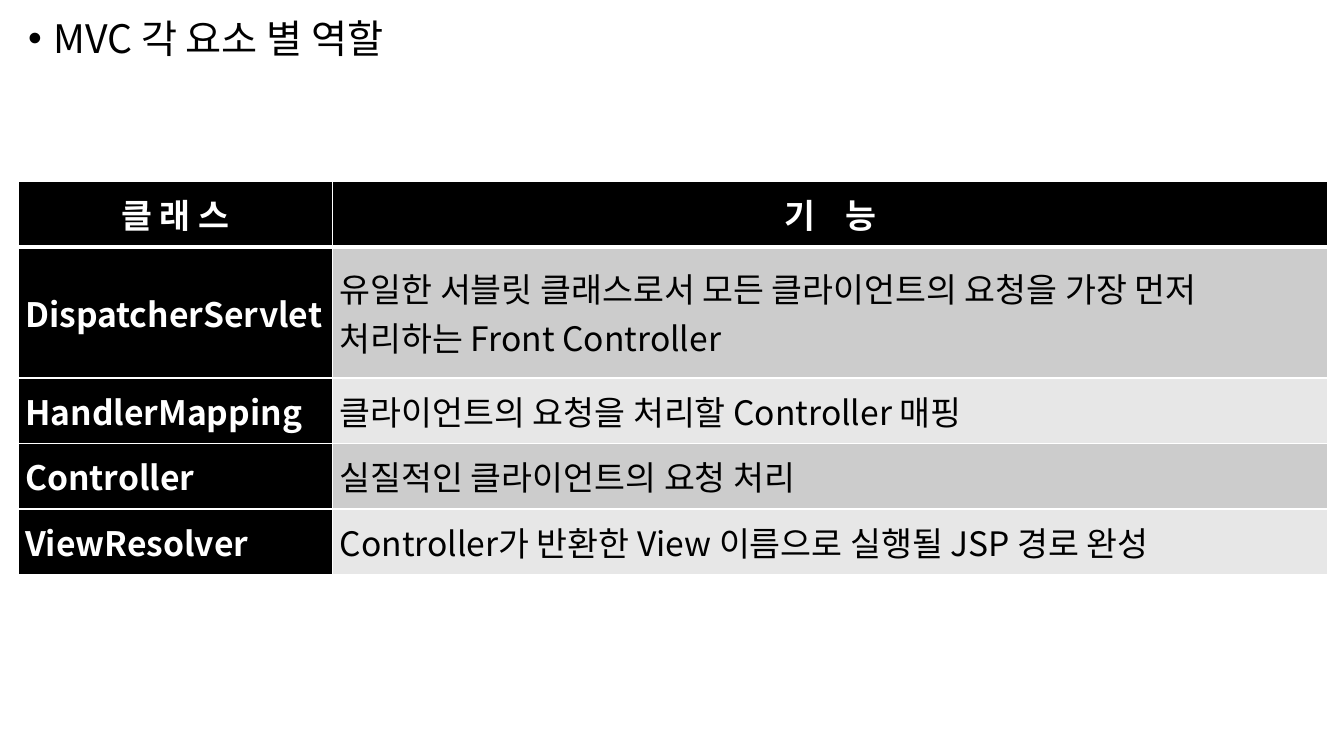
"""Build a slide that lists the role of each MVC element in a table."""
from lxml.etree import SubElement
from pptx import Presentation
from pptx.dml.color import RGBColor
from pptx.enum.text import MSO_ANCHOR, PP_ALIGN
from pptx.oxml.ns import qn
from pptx.util import Inches, Pt

BLACK = RGBColor(0x00, 0x00, 0x00)
WHITE = RGBColor(0xFF, 0xFF, 0xFF)
BAND_COLORS = [RGBColor(0xE7, 0xE7, 0xE7), RGBColor(0xCC, 0xCC, 0xCC)]
FONT = "Noto Sans CJK KR"

ROWS = [
    ("클 래 스", "기 능"),
    ("DispatcherServlet", "유일한 서블릿 클래스로서 모든 클라이언트의 요청을 가장 먼저 처리하는 Front Controller"),
    ("HandlerMapping", "클라이언트의 요청을 처리할 Controller 매핑"),
    ("Controller", "실질적인 클라이언트의 요청 처리"),
    ("ViewResolver", "Controller가 반환한 View 이름으로 실행될 JSP 경로 완성"),
]
COLUMN_WIDTHS = [3.12, 9.87]
ROW_HEIGHT = 0.65
LEFT, WIDTH = Inches(0.18), Inches(sum(COLUMN_WIDTHS))


def format_span(span, size, color, bold=False):
    span.font.size = Pt(size)
    span.font.bold = bold
    span.font.color.rgb = color
    span.font.name = FONT
    SubElement(span.font._element, qn("a:ea"), typeface=FONT)


def add_border(cell, side, points):
    line = SubElement(cell._tc.get_or_add_tcPr(), qn(f"a:ln{side}"), w=str(Pt(points)))
    fill = SubElement(line, qn("a:solidFill"))
    SubElement(fill, qn("a:srgbClr"), val=str(WHITE))


deck = Presentation()
deck.slide_width, deck.slide_height = Inches(13.33), Inches(7.5)
page = deck.slides.add_slide(deck.slide_layouts.get_by_name("Title and Content"))
title = page.shapes.title
title.element.getparent().remove(title.element)

heading = page.placeholders[1]
heading.left, heading.top = LEFT, Inches(0.14)
heading.width, heading.height = WIDTH, Inches(7.22)
heading.text_frame.text = "MVC 각 요소 별 역할"
para = heading.text_frame.paragraphs[0]
para.line_spacing = 0.9
para.space_before = Pt(10)
properties = para._p.get_or_add_pPr()
properties.set("marL", str(Inches(0.25)))
properties.set("indent", str(-Inches(0.25)))
SubElement(properties, qn("a:buFont"), typeface="Arial")
SubElement(properties, qn("a:buChar"), char="•")
format_span(para.runs[0], 28, BLACK)

frame = page.shapes.add_table(
    len(ROWS), len(COLUMN_WIDTHS), LEFT, Inches(1.8), WIDTH, Inches(ROW_HEIGHT * 6))
table = frame.table
for column, width in zip(table.columns, COLUMN_WIDTHS):
    column.width = Inches(width)

for row_index, texts in enumerate(ROWS):
    table.rows[row_index].height = Inches(ROW_HEIGHT * (2 if row_index == 1 else 1))
    for column_index, text in enumerate(texts):
        cell = table.cell(row_index, column_index)
        is_header = row_index == 0
        is_dark = is_header or column_index == 0
        cell.vertical_anchor = MSO_ANCHOR.MIDDLE
        cell.margin_left = cell.margin_right = Inches(0.07)
        cell.margin_top = cell.margin_bottom = 0
        for side in "LRTB":
            thick = (is_header and side == "B") or (row_index == 1 and side == "T")
            add_border(cell, side, 3 if thick else 1)
        cell.fill.solid()
        cell.fill.fore_color.rgb = BLACK if is_dark else BAND_COLORS[row_index % 2]
        cell.text_frame.text = text
        para = cell.text_frame.paragraphs[0]
        para.alignment = PP_ALIGN.CENTER if is_header else PP_ALIGN.LEFT
        format_span(para.runs[0], 24, WHITE if is_dark else BLACK, is_dark)

function_header = table.cell(0, 1).text_frame.paragraphs[0].runs[0]
function_header.font._element.set("spc", "800")

deck.save("out.pptx")
